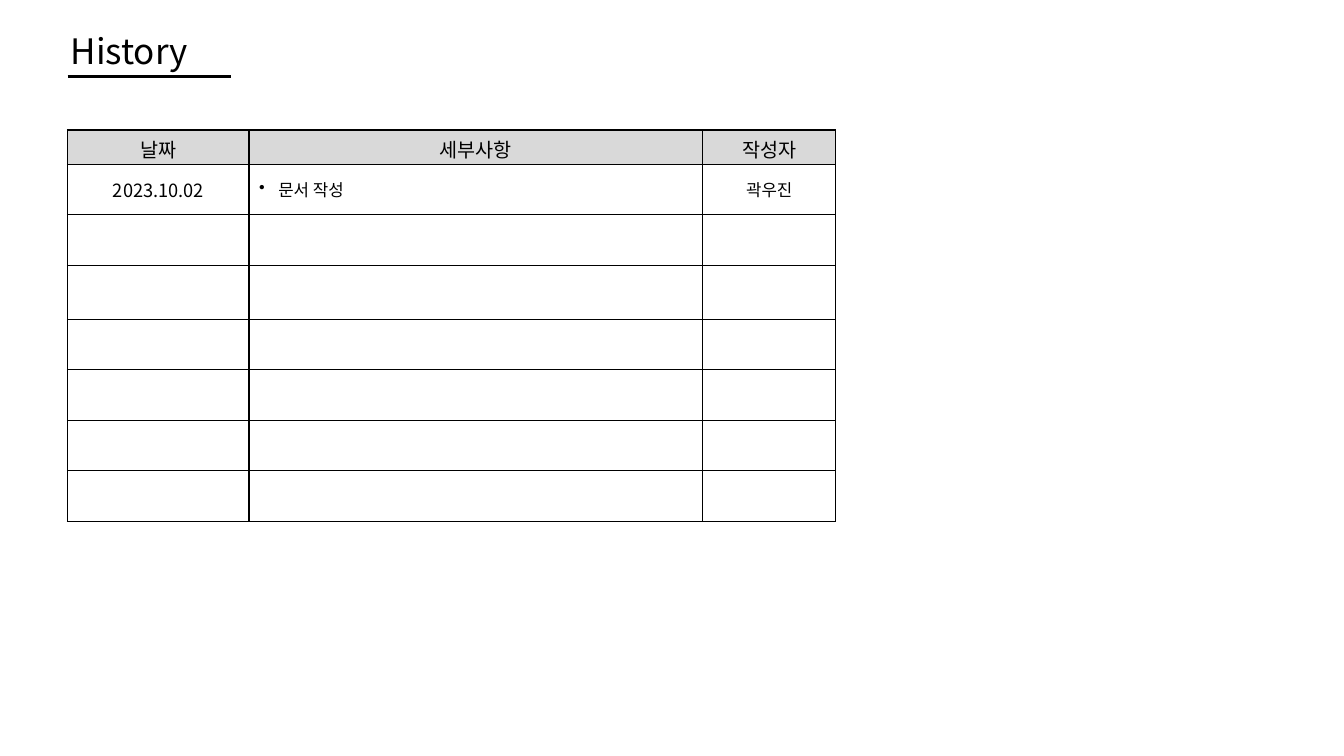
from pptx import Presentation
from pptx.dml.color import RGBColor
from pptx.enum import shapes, text
from pptx.oxml import ns
from pptx.util import Inches, Pt
from lxml import etree

FONT = "Noto Sans CJK KR"
COLORS = {"ink": "000000", "header": "D9D9D9", "paper": "FFFFFF"}
COL_WIDTHS = [1.8, 4.5, 1.32]
ROW_HEIGHTS = [0.34, 0.5, 0.5, 0.54, 0.5, 0.5, 0.5, 0.5]
HEADINGS = ["날짜", "세부사항", "작성자"]
ENTRY = [("2023.10.02", 13), ("문서 작성", 12), ("곽우진", 12)]


def rgb(name):
    return RGBColor.from_string(COLORS[name])


def add_child(parent, tag, **attrs):
    return etree.SubElement(parent, ns.qn(tag), attrs)


def write(tf, words, size, align):
    p = tf.paragraphs[0]
    p.text = words
    p.alignment = align
    p.font.size = Pt(size)
    p.font.bold = False
    p.font.color.rgb = rgb("ink")
    p.font.name = FONT
    latin = p.font._element.find(ns.qn("a:latin"))
    latin.addnext(latin.makeelement(ns.qn("a:ea"), {"typeface": FONT}))
    return p


def add_bullet(p):
    pPr = p._p.get_or_add_pPr()
    pPr.set("marL", str(Inches(0.19)))
    pPr.set("indent", str(-Inches(0.19)))
    bullet = pPr.makeelement(ns.qn("a:buChar"), {"char": "•"})
    pPr.find(ns.qn("a:defRPr")).addprevious(bullet)


def format_cell(cell, fill):
    tcPr = cell._tc.get_or_add_tcPr()
    for side in ("a:lnL", "a:lnR", "a:lnT", "a:lnB"):
        ln = add_child(tcPr, side, w=str(Pt(1)))
        add_child(add_child(ln, "a:solidFill"), "a:srgbClr", val=COLORS["ink"])
    cell.fill.solid()
    cell.fill.fore_color.rgb = rgb(fill)


def add_heading(s, left, top, width, height):
    title = s.shapes.title
    title.left, title.top = Inches(left), Inches(top)
    title.width, title.height = Inches(width), Inches(height)
    tf = title.text_frame
    tf.vertical_anchor = text.MSO_ANCHOR.MIDDLE
    write(tf, "History", 25, text.PP_ALIGN.LEFT)
    x, y = left + 0.07, Inches(top + height)
    rule = s.shapes.add_connector(
        shapes.MSO_CONNECTOR.STRAIGHT, Inches(x), y, Inches(x + 1.62), y)
    rule.line.color.rgb = rgb("ink")
    rule.line.width = Pt(1.75)
    add_child(rule._element.spPr, "a:effectLst")


def add_history(s, left, top):
    table = s.shapes.add_table(
        len(ROW_HEIGHTS), len(COL_WIDTHS), Inches(left), Inches(top),
        Inches(sum(COL_WIDTHS)), Inches(sum(ROW_HEIGHTS))).table
    table.first_row = table.horz_banding = False
    for col, width in zip(table.columns, COL_WIDTHS):
        col.width = Inches(width)
    for i, (row, height) in enumerate(zip(table.rows, ROW_HEIGHTS)):
        row.height = Inches(height)
        for cell in row.cells:
            format_cell(cell, "paper" if i else "header")
    for c, heading in enumerate(HEADINGS):
        cell = table.cell(0, c)
        cell.margin_bottom = 0
        write(cell.text_frame, heading, 14, text.PP_ALIGN.CENTER)
    for c, (words, size) in enumerate(ENTRY):
        cell = table.cell(1, c)
        cell.vertical_anchor = text.MSO_ANCHOR.MIDDLE
        is_detail = c == 1
        align = text.PP_ALIGN.LEFT if is_detail else text.PP_ALIGN.CENTER
        p = write(cell.text_frame, words, size, align)
        if is_detail:
            add_bullet(p)


def main():
    prs = Presentation()
    prs.slide_width, prs.slide_height = Inches(13.33), Inches(7.5)
    s = prs.slides.add_slide(prs.slide_layouts.get_by_name("Title Only"))
    add_heading(s, 0.6, 0.24, 4.63, 0.52)
    add_history(s, 0.67, 1.29)
    prs.save("out.pptx")


if __name__ == "__main__":
    main()
